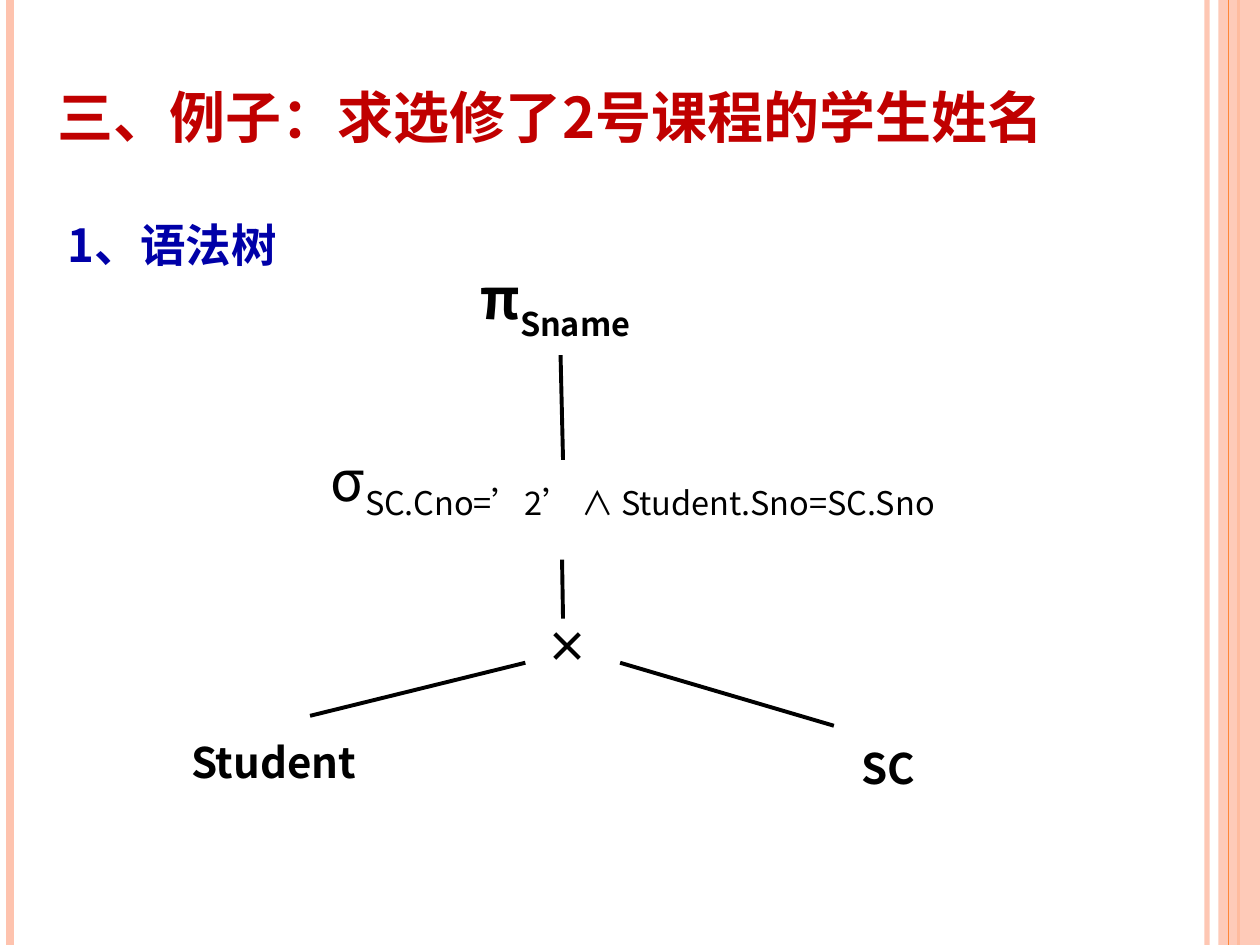
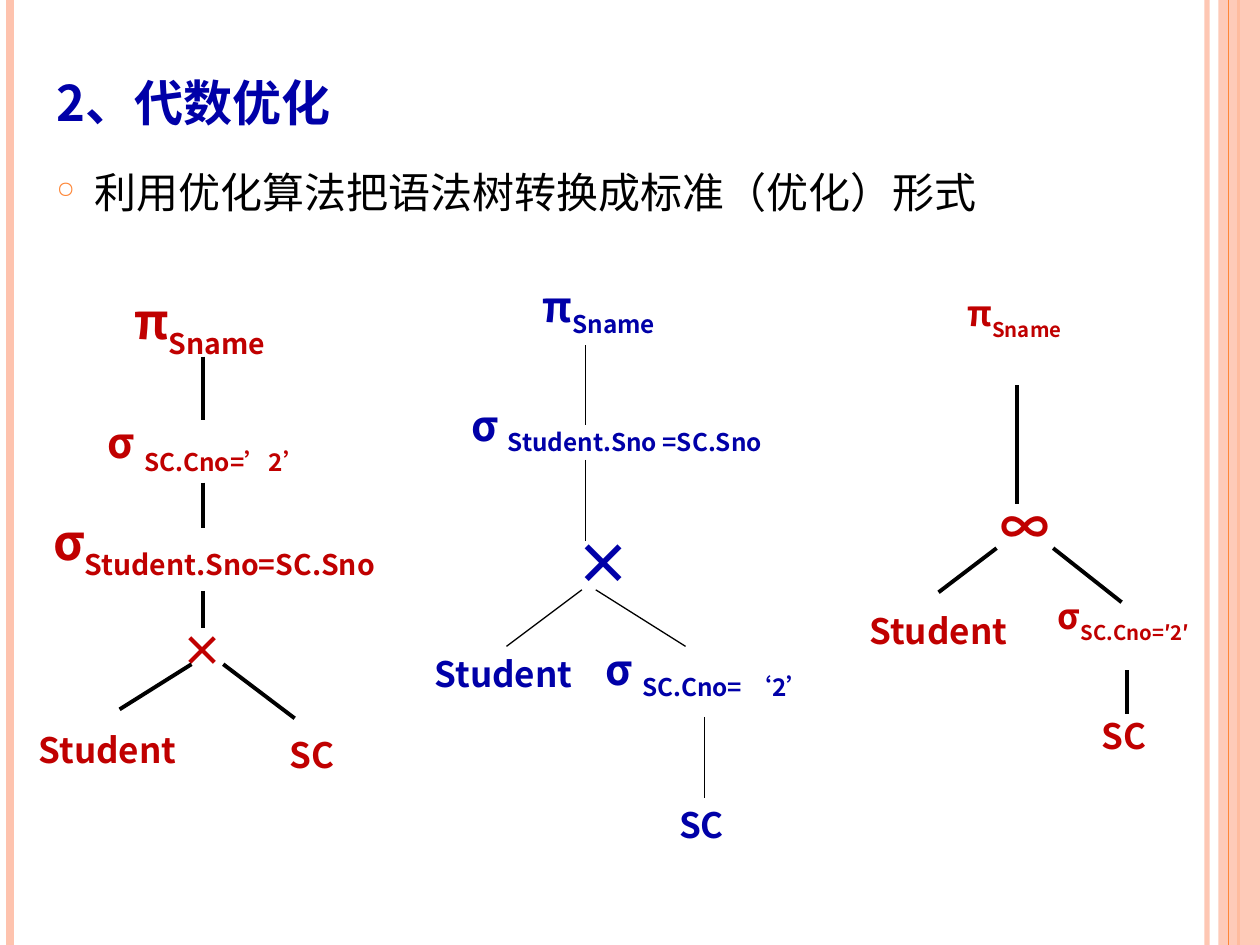
from lxml import etree
from pptx import Presentation
from pptx.dml.color import RGBColor
from pptx.enum.shapes import MSO_CONNECTOR, MSO_SHAPE
from pptx.enum.text import MSO_ANCHOR, MSO_AUTO_SIZE, PP_ALIGN
from pptx.oxml.ns import qn
from pptx.util import Cm, Pt

STRAIGHT = MSO_CONNECTOR.STRAIGHT
RECTANGLE = MSO_SHAPE.RECTANGLE
TOP, MIDDLE = MSO_ANCHOR.TOP, MSO_ANCHOR.MIDDLE
LEFT, CENTER, JUSTIFY = PP_ALIGN.LEFT, PP_ALIGN.CENTER, PP_ALIGN.JUSTIFY
NO_FIT = MSO_AUTO_SIZE.NONE

FONT = "Noto Sans CJK SC"
COLORS = {
    "black": "000000",
    "red": "C00000",
    "blue": "0000A8",
    "peach": "FEC3AE",
    "orange": "FE8637",
}
SLIDE_W, SLIDE_H = 25.4, 19.05
TITLE_ONLY = 5


def rgb(name):
    return RGBColor.from_string(COLORS[name])


def set_alpha(fill, percent):
    color = fill.fore_color._xFill.find(qn("a:srgbClr"))
    etree.SubElement(color, qn("a:alpha")).set("val", str(percent * 1000))


def add_run(p, text, size, color, bold=True, baseline=0):
    r = p.add_run()
    r.text = text
    r.font.size = Pt(size)
    r.font.bold = bold
    r.font.name = FONT
    r.font.color.rgb = rgb(color)
    r_pr = r._r.get_or_add_rPr()
    etree.SubElement(r_pr, qn("a:ea")).set("typeface", FONT)
    if baseline:
        r_pr.set("baseline", str(baseline * 1000))


def add_line(s, x1, y1, x2, y2, width=2.25, color="black", alpha=None):
    line = s.shapes.add_connector(STRAIGHT, Cm(x1), Cm(y1), Cm(x2), Cm(y2))
    line.line.width = Pt(width)
    line.line.color.rgb = rgb(color)
    if alpha:
        set_alpha(line.line.fill, alpha)
    etree.SubElement(line._element.spPr, qn("a:effectLst"))


def add_bands(s):
    add_line(s, 24.33, 0, 24.33, SLIDE_H, 3, "peach", 93)
    add_line(s, 0.2, 0, 0.2, SLIDE_H, 4.5, "peach")
    add_line(s, 24.97, 0, 24.97, SLIDE_H, 1.5, "orange")
    band = s.shapes.add_shape(RECTANGLE, Cm(24.56), 0, Cm(0.84), Cm(SLIDE_H))
    band.shadow.inherit = False
    band.fill.solid()
    band.fill.fore_color.rgb = rgb("peach")
    set_alpha(band.fill, 87)
    band.line.fill.background()
    add_line(s, 24.77, 0, 24.77, SLIDE_H, 0.75, "orange")


def place(sp, x, y, w, h):
    sp.left, sp.top, sp.width, sp.height = Cm(x), Cm(y), Cm(w), Cm(h)


def add_title_slide(prs, text, box, size, color, spacing, align):
    s = prs.slides.add_slide(prs.slide_layouts[TITLE_ONLY])
    add_bands(s)
    sp = s.shapes.title
    place(sp, *box)
    tf = sp.text_frame
    tf.word_wrap = True
    tf.auto_size = NO_FIT
    tf.vertical_anchor = TOP
    p = tf.paragraphs[0]
    p.alignment = align
    p.line_spacing = spacing
    add_run(p, text, size, color)
    return s


def add_text(s, box, text, size, color, spacing, bold=True, bullet=None):
    tf = s.shapes.add_textbox(*map(Cm, box)).text_frame
    tf.word_wrap = True
    p = tf.paragraphs[0]
    p.line_spacing = spacing
    if bullet:
        add_bullet(p, bullet)
    add_run(p, text, size, color, bold)


def add_bullet(p, char):
    p_pr = p._p.get_or_add_pPr()
    p_pr.set("marL", str(Cm(0.76)))
    p_pr.set("indent", str(-Cm(0.76)))
    bu_clr = etree.SubElement(p_pr, qn("a:buClr"))
    etree.SubElement(bu_clr, qn("a:srgbClr")).set("val", COLORS["orange"])
    etree.SubElement(p_pr, qn("a:buSzPct")).set("val", "55000")
    etree.SubElement(p_pr, qn("a:buChar")).set("char", char)


def add_node(s, box, symbol, subscript, size, color, bold, centered, drop):
    tf = s.shapes.add_textbox(*map(Cm, box)).text_frame
    tf.word_wrap = True
    tf.vertical_anchor = MIDDLE if centered else TOP
    p = tf.paragraphs[0]
    p.alignment = CENTER if centered else LEFT
    add_run(p, symbol, size, color, bold)
    if subscript:
        add_run(p, subscript, size, color, bold, drop)


def add_tree(s, nodes, edges, color, width=2.25, bold=True, centered=True, drop=-30):
    for box, symbol, subscript, size in nodes:
        add_node(s, box, symbol, subscript, size, color, bold, centered, drop)
    for edge in edges:
        add_line(s, *edge, width)


def syntax_tree_slide(prs):
    s = add_title_slide(prs, "三、例子：求选修了2号课程的学生姓名",
                        (0.91, 1.12, 23.6, 2.39), 32, "red", 1.3, JUSTIFY)
    add_tree(s, [
        ((9.11, 5.16, 4.32, 1.9), "π", "Sname ", 32),
        ((10.11, 12.29, 2.87, 1.47), "× ", "", 24),
        ((3.42, 14.63, 4.2, 1.47), "Student", "", 24),
        ((16.1, 14.63, 3.61, 1.7), "SC", "", 24),
    ], [
        (11.3, 7.16, 11.35, 9.27),
        (11.33, 11.28, 11.35, 12.47),
        (10.59, 13.36, 6.25, 14.43),
        (12.5, 13.36, 16.81, 14.63),
    ], "black")
    add_node(s, (5.83, 9.04, 14, 1.42), "σ", "SC.Cno=’2’ ∧ Student.Sno=SC.Sno ",
             32, "black", False, True, -25)
    add_text(s, (1.12, 3.93, 22.2, 2.39), "1、语法树", 26, "blue", 1.3)


def optimization_slide(prs):
    s = add_title_slide(prs, "2、代数优化", (0.89, 0.74, 22.58, 1.9), 28, "blue", 1.5, LEFT)
    add_text(s, (0.89, 2.72, 22.58, 1.8), "利用优化算法把语法树转换成标准（优化）形式",
             24, "black", 1.5, False, "○")

    product_tree = [
        ((10.69, 5.54, 5.05, 1.27), "π", "Sname", 24),
        ((9.25, 7.92, 9.6, 1.27), "σ ", "Student.Sno =SC.Sno", 24),
        ((11.35, 10.52, 1.32, 1.6), "×", "", 32),
        ((8.51, 13.03, 3.51, 1.12), "Student", "", 20),
        ((11.96, 12.85, 5, 1.27), "σ ", "SC.Cno= ‘2’", 24),
        ((13.44, 16.08, 2.29, 1.12), "SC", "", 20),
    ]
    product_edges = [
        (11.81, 6.96, 11.81, 8.56),
        (11.81, 9.27, 11.81, 10.9),
        (11.73, 11.89, 10.21, 13.03),
        (12.01, 11.89, 13.82, 13.03),
        (14.2, 14.45, 14.2, 16.08),
    ]
    add_tree(s, product_tree, product_edges, "blue", 0.75, centered=False, drop=-25)

    join_tree = [
        ((19, 5.72, 3, 1.32), "π", "Sname ", 20),
        ((20.91, 11.71, 3.58, 1.55), "σ", "SC.Cno=′2′ ", 20),
        ((16.92, 11.94, 4, 1.55), "Student", "", 20),
        ((21.87, 13.94, 1.57, 1.78), "SC", "", 20),
        ((19.91, 9.88, 1.4, 1.45), "∞", "", 28),
    ]
    join_edges = [
        (20.5, 7.77, 20.5, 10.16),
        (22.71, 13.51, 22.71, 14.4),
        (20.09, 11.05, 18.92, 11.94),
        (21.23, 11.05, 22.61, 12.14),
    ]
    add_tree(s, join_tree, join_edges, "red")

    split_tree = [
        ((2.09, 5.74, 4, 1.63), "π", "Sname ", 28),
        ((1.64, 8.46, 5.21, 1.09), "σ ", "SC.Cno=’2’ ", 24),
        ((0.38, 10.29, 8, 1.45), "σ", "Student.Sno=SC.Sno ", 28),
        ((3.17, 12.47, 2, 1.27), "× ", "", 24),
        ((0.17, 14.48, 4, 1.27), "Student", "", 20),
        ((5.29, 14.48, 2, 1.45), "SC", "", 20),
    ]
    split_edges = [
        (4.09, 7.19, 4.09, 8.46),
        (4.09, 9.73, 4.09, 10.64),
        (4.09, 11.91, 4.09, 12.65),
        (3.86, 13.39, 2.41, 14.3),
        (4.5, 13.39, 5.94, 14.48),
    ]
    add_tree(s, split_tree, split_edges, "red")


def main():
    prs = Presentation()
    prs.slide_width, prs.slide_height = Cm(SLIDE_W), Cm(SLIDE_H)
    syntax_tree_slide(prs)
    optimization_slide(prs)
    prs.save("out.pptx")


if __name__ == "__main__":
    main()
